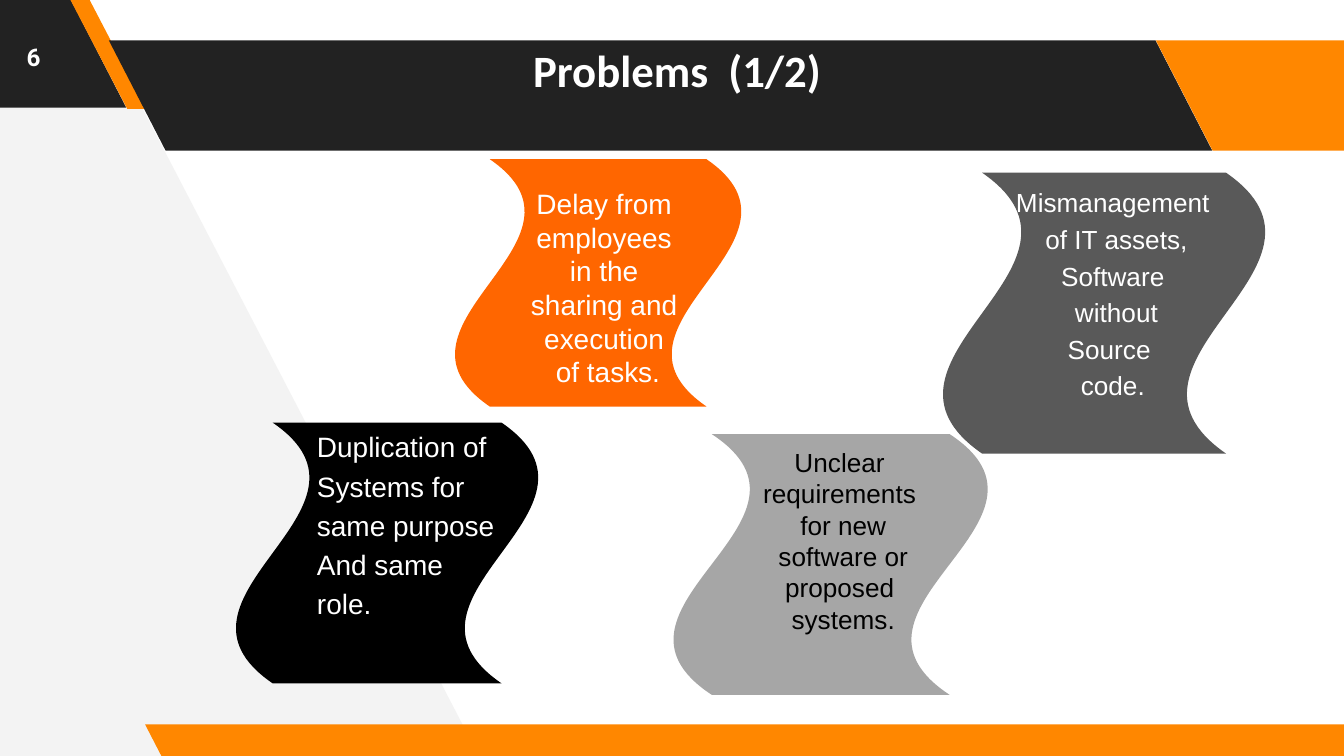
import pptx
import pptx.util
import pptx.dml.color
import pptx.enum.shapes
import pptx.enum.text
import pptx.oxml.ns

Inches = pptx.util.Inches
Pt = pptx.util.Pt
SHAPE = pptx.enum.shapes.MSO_SHAPE
ALIGN = pptx.enum.text.PP_ALIGN
ANCHOR = pptx.enum.text.MSO_ANCHOR

COLORS = {
    "white": "FFFFFF", "black": "000000", "pale": "F3F3F3", "dark": "222222",
    "amber": "FF8700", "orange": "FF6600", "silver": "A6A6A6", "slate": "595959",
}
SLANT = 0.515
BANDS = [
    ((-0.99, -0.02, 1.93, 0.82), SLANT, "dark"),
    ((0.52, -0.01, 0.57, 0.82), 0.75, "amber"),
    ((0.81, 0.3, 8.21, 0.82), SLANT, "dark"),
    ((8.6, 0.3, 1.92, 0.82), SLANT, "amber"),
    ((1.08, 5.39, 9.15, 0.25), SLANT, "amber"),
]
PROBLEMS = [
    {"box": (3.53, 1.03, 1.84, 2.15), "fill": "orange",
     "text_at": (0.27, 0.31, 1.39, 1.62),
     "lines": ["Delay from employees in the sharing and execution", " of tasks."],
     "font": {"size": 15, "color": "white"}},
    {"box": (5.21, 3.02, 1.94, 2.36), "fill": "silver",
     "text_at": (0.1, 0.3, 1.93, 1.41), "inset": 0,
     "lines": ["Unclear ", "requirements ", "for new", " software or ",
               "proposed ", "systems."],
     "font": {"size": 14, "color": "black"}},
    {"box": (7.17, 1.12, 2.09, 2.42), "fill": "slate",
     "text_at": (0.07, 0.22, 2.08, 1.75),
     "lines": ["Mismanagement", " of IT assets,", "Software", " without",
               "Source ", "code."],
     "font": {"size": 14, "color": "white"}, "paragraph": {"space_before": Pt(2.8)}},
    {"box": (1.91, 2.98, 1.94, 2.27), "fill": "black",
     "text_at": (0.35, 0.17, 2.55, 1.57),
     "lines": ["Duplication of ", "Systems for", "same purpose ", "And same ", "role."],
     "font": {"size": 15, "color": "white"},
     "paragraph": {"alignment": ALIGN.LEFT, "space_before": Pt(3)}},
]


def rgb(name):
    return pptx.dml.color.RGBColor.from_string(COLORS[name])


def apply(target, values):
    for key, value in values.items():
        setattr(target, key, value)


def paint(shape, color):
    shape.shadow.inherit = False
    shape.fill.solid()
    shape.fill.fore_color.rgb = rgb(color)
    shape.line.fill.background()


def write(frame, lines, size, color, paragraph=None, name="Arial", bold=False, **layout):
    apply(frame, {"word_wrap": True, "vertical_anchor": ANCHOR.TOP, **layout})
    for index, line in enumerate(lines):
        para = frame.add_paragraph() if index else frame.paragraphs[0]
        apply(para, {"alignment": ALIGN.CENTER, **(paragraph or {})})
        run = para.add_run()
        run.text = line
        apply(run.font, {"size": Pt(size), "name": name, "bold": bold})
        run.font.color.rgb = rgb(color)


def insets(value):
    sides = ("left", "top", "right", "bottom")
    return {f"margin_{side}": Inches(value) for side in sides}


def add_backdrop(slide, box):
    left, top, width, height = box
    outline = [(0.68, 0), (0, 0), (0.04, height), (width, height - 0.04)]
    points = [(Inches(left + x), Inches(top + y)) for x, y in outline]
    builder = slide.shapes.build_freeform(*points[0], scale=1.0)
    builder.add_line_segments(points[1:], close=True)
    paint(builder.convert_to_shape(), "pale")


def add_band(slide, box, slant, color):
    band = slide.shapes.add_shape(SHAPE.PARALLELOGRAM, *map(Inches, box))
    band.adjustments[0] = slant
    band.element.spPr.find(pptx.oxml.ns.qn("a:xfrm")).set("flipH", "1")
    paint(band, color)


def add_title(slide, box, text):
    title = slide.shapes.title
    places = map(Inches, box)
    apply(title, dict(zip(("left", "top", "width", "height"), places)))
    write(title.text_frame, [text], 24, "white", name="Calibri", bold=True,
          auto_size=pptx.enum.text.MSO_AUTO_SIZE.NONE)
    slide.shapes.element.append(title.element)


def add_problem(slide, box, fill, text_at, lines, font, paragraph=None, inset=None):
    group = slide.shapes.add_group_shape()
    wave = group.shapes.add_shape(SHAPE.WAVE, *map(Inches, box))
    wave.rotation = 90
    paint(wave, fill)
    left, top, width, height = text_at
    label = group.shapes.add_textbox(
        Inches(box[0] + left), Inches(box[1] + top), Inches(width), Inches(height))
    layout = {} if inset is None else insets(inset)
    write(label.text_frame, lines, paragraph=paragraph, **font, **layout)


def add_page_number(slide, box, number):
    label = slide.shapes.add_textbox(*map(Inches, box))
    write(label.text_frame, [number], 13, "white", {"alignment": ALIGN.RIGHT},
          name="Roboto", bold=True, **{**insets(0.1), "vertical_anchor": ANCHOR.MIDDLE})


def build_problems_slide(deck):
    slide = deck.slides.add_slide(deck.slide_layouts.get_by_name("Title Only"))
    add_backdrop(slide, (-0.06, -0.04, 3.62, 5.7))
    for band in BANDS:
        add_band(slide, *band)
    add_title(slide, (1, 0.27, 8, 0.5), " Problems  (1/2)")
    for problem in PROBLEMS:
        add_problem(slide, **problem)
    add_page_number(slide, (-0.25, 0.02, 0.65, 0.8), "6")


deck = pptx.Presentation()
apply(deck, {"slide_width": Inches(10), "slide_height": Inches(10 * 9 / 16)})
build_problems_slide(deck)
deck.save("out.pptx")
